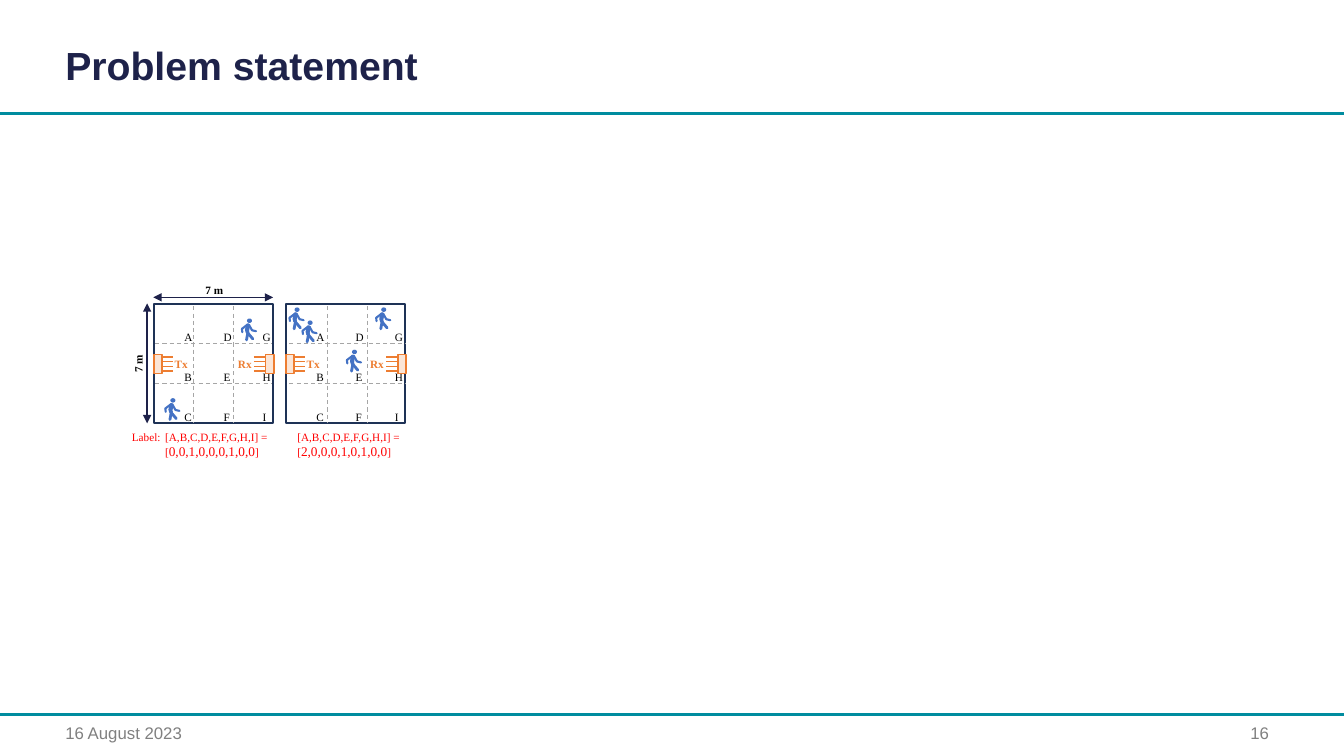
from lxml.etree import SubElement
from pptx import Presentation
from pptx.dml.color import RGBColor
from pptx.enum.dml import MSO_LINE
from pptx.enum.shapes import MSO_CONNECTOR, MSO_SHAPE
from pptx.enum.text import MSO_ANCHOR, PP_ALIGN
from pptx.oxml.ns import qn
from pptx.util import Pt

COLORS = {
    "teal": "008C9F", "navy": "1E224A", "grey": "808080", "wall": "1E3256",
    "person": "4472C4", "antenna": "ED7D31", "antenna_fill": "FBE5D6",
    "dash": "A6A6A6", "label": "FF0000", "black": "000000",
}
SERIF = "Times New Roman"
ROOM_TOP = 217.4
ROOM_SIZE = 85
PERSON_LIMBS = [
    (0.7, 5, 0.1, 8.4, 3),
    (0.5, 4.3, -3.6, 7.4, 1.5),
    (-3.6, 7.4, -3.3, 9.8, 1.5),
    (0.8, 9.4, -0.3, 15.3, 2),
    (-0.2, 9.4, 4.2, 14.6, 2),
    (1.4, 4.4, 3.6, 8.4, 1.5),
    (3.6, 8.4, 6.5, 9.1, 1.5),
]
ROOMS = [
    {"left": 110.2, "dash_shift": 0, "counts": "0,0,1,0,0,0,1,0,0",
     "people": [(11.5, 67), (66.2, 10.1)]},
    {"left": 204.6, "dash_shift": 1.4, "counts": "2,0,0,0,1,0,1,0,0",
     "people": [(5.8, 2.2), (15.1, 11.5), (46.8, 32.4), (67.7, 2.2)]},
]


def color(name):
    return RGBColor.from_string(COLORS[name])


def add_run(paragraph, text, size=8, ink="black", font=SERIF, bold=False):
    run = paragraph.add_run()
    run.text = text
    run.font.size = Pt(size)
    run.font.name = font
    run.font.bold = bold
    run.font.color.rgb = color(ink)


def add_text(slide, box, text, align=PP_ALIGN.LEFT, anchor=MSO_ANCHOR.TOP,
             right_inset=0, rotation=0, **font_format):
    shape = slide.shapes.add_textbox(*map(Pt, box))
    shape.rotation = rotation
    frame = shape.text_frame
    frame.word_wrap = True
    frame.vertical_anchor = anchor
    frame.margin_right = Pt(right_inset)
    paragraph = frame.paragraphs[0]
    paragraph.alignment = align
    add_run(paragraph, text, **font_format)
    return frame


def add_line(slide, start, end, ink, width, dashed=False, arrows=False, rounded=False):
    points = map(Pt, (*start, *end))
    connector = slide.shapes.add_connector(MSO_CONNECTOR.STRAIGHT, *points)
    connector.line.color.rgb = color(ink)
    connector.line.width = Pt(width)
    if dashed:
        connector.line.dash_style = MSO_LINE.DASH
    outline = connector.line._get_or_add_ln()
    if rounded:
        outline.set("cap", "rnd")
    if arrows:
        for end_tag in ("a:headEnd", "a:tailEnd"):
            SubElement(outline, qn(end_tag), type="triangle")
    SubElement(connector._element.spPr, qn("a:effectLst"))


def add_block(slide, kind, box, fill=None, ink=None, width=1):
    shape = slide.shapes.add_shape(kind, *map(Pt, box))
    shape.shadow.inherit = False
    if fill:
        shape.fill.solid()
        shape.fill.fore_color.rgb = color(fill)
    else:
        shape.fill.background()
    if ink:
        shape.line.color.rgb = color(ink)
        shape.line.width = Pt(width)
    else:
        shape.line.fill.background()


def add_person(slide, left, top):
    add_block(slide, MSO_SHAPE.OVAL, (left, top, 3.6, 3.2), fill="person")
    for x1, y1, x2, y2, width in PERSON_LIMBS:
        add_line(slide, (left + x1, top + y1), (left + x2, top + y2),
                 "person", width, rounded=True)


def add_antenna(slide, room_left, name, plate, prongs, caption):
    add_block(slide, MSO_SHAPE.RECTANGLE, (room_left + plate, ROOM_TOP + 35.8, 5.8, 13.7),
              fill="antenna_fill", ink="antenna")
    for index in range(4):
        y = ROOM_TOP + 37.6 + 3.3 * index
        add_line(slide, (room_left + prongs, y), (room_left + prongs + 8.3, y), "antenna", 1)
    add_text(slide, (room_left + caption, ROOM_TOP + 34.6, 24.5, 17.3), name,
             ink="antenna", bold=True)


def add_room(slide, left, dash_shift, counts, people):
    add_block(slide, MSO_SHAPE.RECTANGLE, (left, ROOM_TOP, ROOM_SIZE, ROOM_SIZE),
              ink="wall", width=1.5)
    for index, letter in enumerate("ABCDEFGHI"):
        column, row = divmod(index, 3)
        add_text(slide, (left + 14.4 + 28 * column, ROOM_TOP + 15.1 + 28.4 * row, 19.4, 17.3),
                 letter)
    for x, y in people:
        add_person(slide, left + x, ROOM_TOP + y)
    add_antenna(slide, left, "Tx", plate=-0.3, prongs=5.1, caption=7.4)
    add_antenna(slide, left, "Rx", plate=79.6, prongs=71.2, caption=52.7)
    dash_left = left + dash_shift
    for offset in (28.2, 56.6):
        add_line(slide, (dash_left + offset, ROOM_TOP + 1.4),
                 (dash_left + offset, ROOM_TOP + ROOM_SIZE), "dash", 0.75, dashed=True)
        add_line(slide, (dash_left + 0.7, ROOM_TOP + offset),
                 (dash_left + 83.5, ROOM_TOP + offset), "dash", 0.75, dashed=True)
    frame = add_text(slide, (left + 0.7, 303.8, 89.3, 28.8), "[A,B,C,D,E,F,G,H,I] =",
                     ink="label")
    vector = frame.add_paragraph()
    for text, size in (("[", 8), (counts, 9.5), ("]", 8)):
        add_run(vector, text, size=size, ink="label")


def add_dimensions(slide):
    add_line(slide, (109.5, 212.4), (195.1, 212.4), "navy", 1, arrows=True)
    add_line(slide, (105.1, 216.7), (105.1, 302.4), "navy", 1, arrows=True)
    add_text(slide, (139.7, 198.7, 31, 17.3), "7 m", bold=True)
    add_text(slide, (83.5, 249.1, 31, 17.3), "7 m", bold=True, rotation=270)


def add_page_frame(slide):
    for y in (80.9, 510.5):
        add_line(slide, (0, y), (960, y), "teal", 2)
    title = add_text(slide, (39.6, 18.7, 719.3, 48.2), "Problem statement",
                     anchor=MSO_ANCHOR.BOTTOM, size=28, ink="navy", font="Arial", bold=True)
    title.paragraphs[0].line_spacing = 0.9
    title.paragraphs[0].space_before = Pt(10)
    footer = {"size": 12, "ink": "grey", "font": "Arial"}
    add_text(slide, (39.6, 512.6, 208.8, 28.8), "16 August 2023", **footer)
    add_text(slide, (678.2, 512.6, 235.4, 28.8), "16", align=PP_ALIGN.RIGHT,
             right_inset=7.2, **footer)


def main():
    presentation = Presentation()
    presentation.slide_width = Pt(960)
    presentation.slide_height = Pt(540)
    slide = presentation.slides.add_slide(presentation.slide_layouts[6])
    add_page_frame(slide)
    for room in ROOMS:
        add_room(slide, **room)
    add_dimensions(slide)
    add_text(slide, (87.1, 303.8, 36.7, 17.3), "Label:", ink="label")
    presentation.save("out.pptx")


if __name__ == "__main__":
    main()
